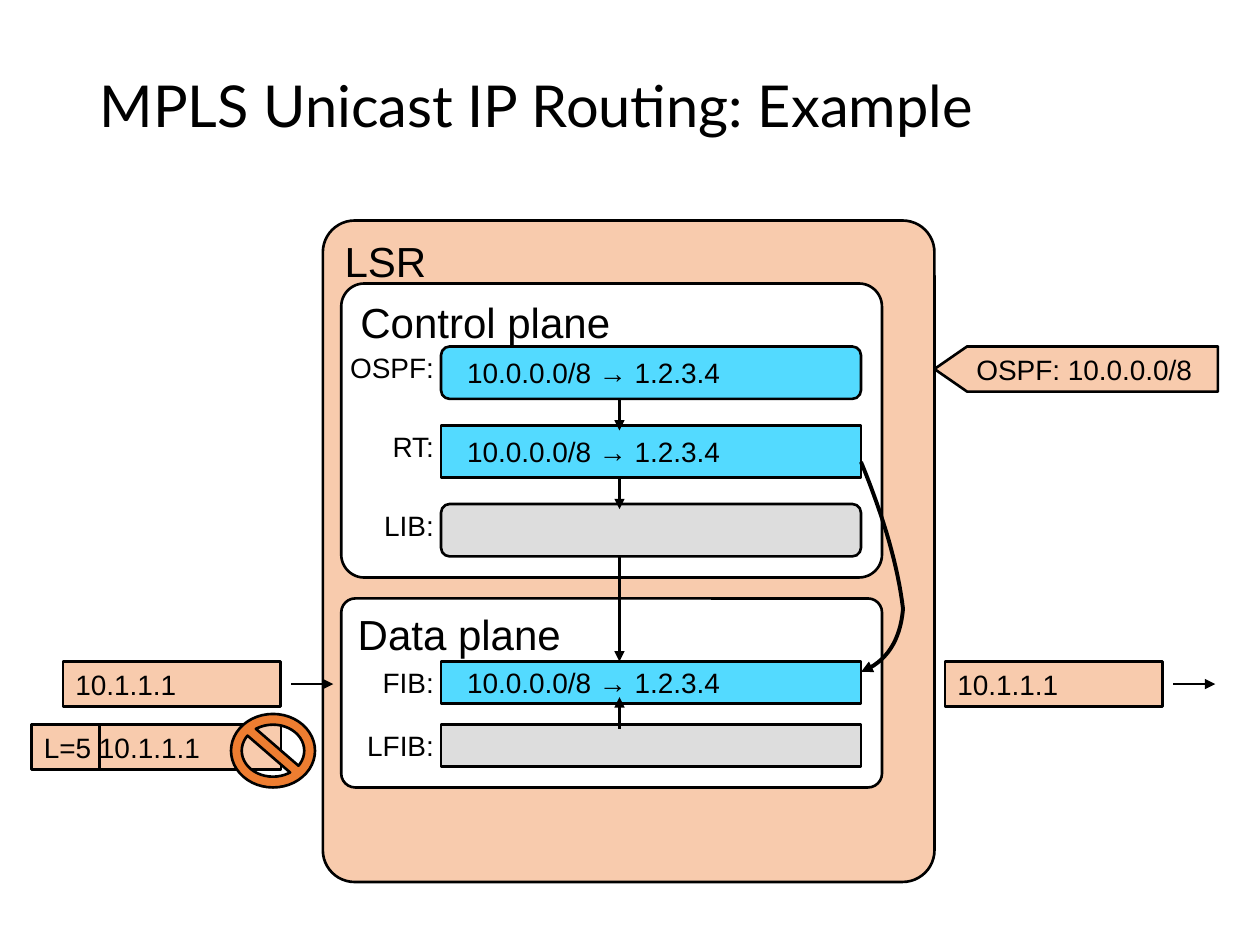
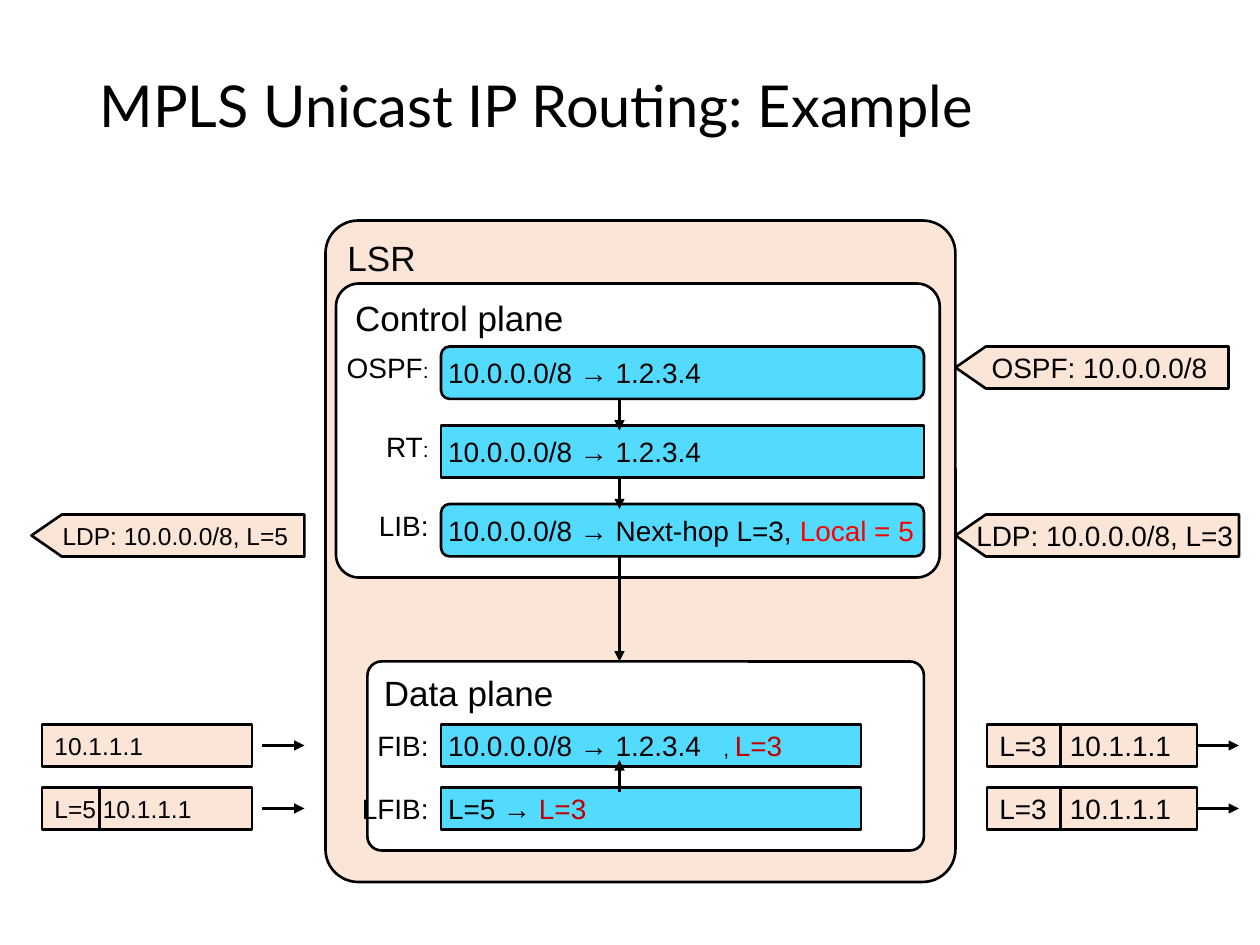
from lxml import etree
from pptx import Presentation
from pptx.dml.color import RGBColor
from pptx.enum.shapes import MSO_CONNECTOR, MSO_SHAPE as Shape
from pptx.enum.text import MSO_ANCHOR as Anchor, PP_ALIGN as Align
from pptx.oxml.ns import qn
from pptx.util import Inches, Pt

COLUMNS, ROWS = 120, 90
BLACK, WHITE, BLUE, GREY = "000000", "FFFFFF", "53DAFF", "DDDDDD"
ORANGE, DARK_RED, RED = "ED7D31", "C00000", "FF0000"
BODY_FONT, TITLE_FONT = "Arial", "Lato"
BODY, SMALL, TINY = 16, 14, 12
TITLE = "MPLS Unicast IP Routing: Example"
TITLE_BOX = (8.3, 4.8, 103.4, 11.2)
ROUTE = [("10.0.0.0/8 → 1.2.3.4", BODY)]
PANEL_NAMES = ("LSR", "Control plane", "Data plane")
PANEL_HEIGHTS = (63, 28, 18)
PANEL_CORNERS = (0.052, 0.078, 0.074)
PANEL_TOP, CONTROL_PITCH, DATA_PITCH = 21, 7.5, 6
CONTROL_HEIGHT, DATA_HEIGHT = 5, 4
BAR_LEFT, DATA_WIDTH = 42, 40
FLOW_COLUMN, FLOW_LENGTH, OVERLAP = 59, 3, 0.4
FLOW_END = 63
ARROW_LENGTH = 4

SLIDES = [
    {
        "tint": "F8CBAD",
        "panel_size": 24,
        "panels": [(30.75, 58.25), (32.5, 51.5), (32.5, 51.5)],
        "data_top": 57,
        "control_width": 40,
        "label_right": 42.5,
        "indent": 1.3,
        "tables": [
            ([("OSPF:", BODY)], BLUE, ROUTE),
            ([("RT:", BODY)], BLUE, ROUTE),
            ([("LIB:", BODY)], GREY, []),
            ([("FIB:", BODY)], BLUE, ROUTE),
            ([("LFIB:", BODY)], GREY, []),
        ],
        "box_height": 4.3,
        "updates": [("OSPF: 10.0.0.0/8", BODY, 89, 33, 27)],
        "packets": [
            ("L=5 10.1.1.1", BODY, 1, 3, 26.75, 6.5, None),
            ("10.1.1.1", BODY, 0, 6, 26.75, None, 1),
            ("10.1.1.1", BODY, 0, 90, 110.75, None, 1),
        ],
        "blocked": (22, 68, 8, 7),
        "bypass": [(82, 44), (85.3, 52), (86, 58), (85.6, 62.6), (82, 64)],
    },
    {
        "tint": "FBE5D6",
        "panel_size": 20,
        "panels": [(31, 60), (32, 57.5), (35, 53)],
        "data_top": 63,
        "control_width": 46,
        "label_right": 42,
        "indent": -0.5,
        "tables": [
            ([("OSPF", BODY), (":", TINY)], BLUE, ROUTE),
            ([("RT", BODY), (":", TINY)], BLUE, ROUTE),
            ([("LIB:", BODY)], BLUE,
             [("10.0.0.0/8 → Next-hop L=3, ", BODY), ("Local = 5", BODY, RED)]),
            ([("FIB:", BODY)], BLUE, ROUTE),
            ([("LFIB:", BODY)], BLUE, [("L=5 → ", BODY), ("L=3", BODY, DARK_RED)]),
        ],
        "next_label": ([(", ", TINY), ("L=3", BODY, DARK_RED)], 67.7),
        "box_height": 4,
        "updates": [
            ("OSPF: 10.0.0.0/8", BODY, 91, 33, 26),
            ("LDP: 10.0.0.0/8, L=3", BODY, 91, 49, 27),
            ("LDP: 10.0.0.0/8, L=5", SMALL, 3, 49, 26),
        ],
        "packets": [
            ("10.1.1.1", SMALL, 0, 4, 24, None, 1),
            ("L=5 10.1.1.1", SMALL, 1, 4, 24, 5.5, 1),
            ("L=3\t10.1.1.1", BODY, 0, 94, 114, 7, 0),
            ("L=3\t10.1.1.1", BODY, 1, 94, 114, 7, 0),
        ],
    },
]

presentation = Presentation()
presentation.slide_width, presentation.slide_height = Inches(10), Inches(7.5)
CELL_WIDTH = presentation.slide_width / COLUMNS
CELL_HEIGHT = presentation.slide_height / ROWS


def color(value):
    return RGBColor.from_string(value)


def place(column, row):
    return round(column * CELL_WIDTH), round(row * CELL_HEIGHT)


def frame(box):
    return place(*box[:2]) + place(*box[2:])


def write(shape, runs, align=Align.LEFT, anchor=Anchor.MIDDLE, font=BODY_FONT, wrap=False):
    text_frame = shape.text_frame
    text_frame.word_wrap = wrap
    text_frame.vertical_anchor = anchor
    paragraph = text_frame.paragraphs[0]
    paragraph.alignment = align
    for text, size, *tone in runs:
        run = paragraph.add_run()
        run.text = text
        run.font.size, run.font.name = Pt(size), font
        run.font.color.rgb = color(tone[0] if tone else BLACK)
    return paragraph


def outline(shape, width=1.5):
    shape.line.color.rgb = color(BLACK)
    shape.line.width = Pt(width)


def add_arrowhead(shape):
    etree.SubElement(shape.line._get_or_add_ln(), qn("a:tailEnd"), type="triangle")


def add_box(slide, kind, box, fill, adjustment=None):
    shape = slide.shapes.add_shape(kind, *frame(box))
    shape.shadow.inherit = False
    shape.fill.solid()
    shape.fill.fore_color.rgb = color(fill)
    outline(shape)
    if adjustment is not None:
        shape.adjustments[0] = adjustment
    return shape


def add_line(slide, start, end, arrow=True):
    line = slide.shapes.add_connector(MSO_CONNECTOR.STRAIGHT, *place(*start), *place(*end))
    outline(line)
    if arrow:
        add_arrowhead(line)
    etree.SubElement(line._element.spPr, qn("a:effectLst"))


def add_text(slide, runs, box, align=Align.LEFT, font=BODY_FONT):
    shape = slide.shapes.add_textbox(*frame(box))
    return write(shape, runs, align, font=font, wrap=True)


def add_panels(slide, content):
    tops = (PANEL_TOP, PANEL_TOP + DATA_PITCH, content["data_top"])
    fills = (content["tint"], WHITE, WHITE)
    rows = zip(PANEL_NAMES, content["panels"], tops, PANEL_HEIGHTS, fills, PANEL_CORNERS)
    for name, (left, width), top, height, fill, corner in rows:
        panel = add_box(slide, Shape.ROUNDED_RECTANGLE, (left, top, width, height), fill, corner)
        write(panel, [(name, content["panel_size"])], anchor=Anchor.TOP)


def table_boxes(content):
    control_top = PANEL_TOP + 2 * DATA_PITCH
    control = [(BAR_LEFT, control_top + i * CONTROL_PITCH, content["control_width"],
                CONTROL_HEIGHT) for i in range(3)]
    data = [(BAR_LEFT, content["data_top"] + i * DATA_PITCH, DATA_WIDTH, DATA_HEIGHT)
            for i in (1, 2)]
    return control + data


def add_tables(slide, content, boxes):
    for index, ((label, fill, entry), box) in enumerate(zip(content["tables"], boxes)):
        left, top, width, height = box
        kind = Shape.ROUNDED_RECTANGLE if index in (0, 2) else Shape.RECTANGLE
        add_box(slide, kind, box, fill)
        label_width = BAR_LEFT / 3
        label_box = (content["label_right"] - label_width, top, label_width, DATA_HEIGHT)
        add_text(slide, label, label_box, Align.RIGHT)
        if entry:
            add_text(slide, entry, (left + content["indent"], top, width + 4, height))
    if "next_label" in content:
        runs, left = content["next_label"]
        add_text(slide, runs, (left, boxes[3][1], 9, DATA_HEIGHT))


def add_flows(slide, boxes):
    bottoms = [top + height for _, top, _, height in boxes[:3]]
    up = boxes[-1][1] + OVERLAP
    flows = [(bottom, bottom + FLOW_LENGTH) for bottom in bottoms[:2]]
    for start, end in flows + [(bottoms[2], FLOW_END), (up, up - FLOW_LENGTH)]:
        add_line(slide, (FLOW_COLUMN, start), (FLOW_COLUMN, end))


def add_update(slide, text, size, box, tint):
    shape = add_box(slide, Shape.PENTAGON, box, tint, 0.722)
    shape._element.spPr.find(qn("a:xfrm")).set("flipH", "1")
    write(shape, [(text, size)], Align.CENTER)


def add_packet(slide, text, size, box, divider, gap, tint):
    left, top, width, height = box
    paragraph = write(add_box(slide, Shape.RECTANGLE, box, tint), [(text, size)])
    if "\t" in text:
        tabs = etree.SubElement(paragraph._p.get_or_add_pPr(), qn("a:tabLst"))
        etree.SubElement(tabs, qn("a:tab"), pos=str(Inches(0.56)), algn="l")
    if divider is not None:
        add_line(slide, (left + divider, top), (left + divider, top + height), arrow=False)
    if gap is not None:
        start, middle = left + width + gap, top + height / 2
        add_line(slide, (start, middle), (start + ARROW_LENGTH, middle))


def bend(start, control, end, t):
    return place(*((1 - t) ** 2 * a + 2 * t * (1 - t) * b + t * t * c
                   for a, b, c in zip(start, control, end)))


def add_curve(slide, points, steps=16):
    builder = slide.shapes.build_freeform(*place(*points[0]))
    curve = [bend(*points[first:first + 3], step / steps)
             for first in (0, 2) for step in range(1, steps + 1)]
    builder.add_line_segments(curve, close=False)
    shape = builder.convert_to_shape()
    shape.shadow.inherit = False
    shape.fill.background()
    outline(shape, 2.25)
    add_arrowhead(shape)


for content in SLIDES:
    slide = presentation.slides.add_slide(presentation.slide_layouts[6])
    tint, box_height = content["tint"], content["box_height"]
    add_text(slide, [(TITLE, 33)], TITLE_BOX, font=TITLE_FONT).line_spacing = 0.9
    boxes = table_boxes(content)
    add_panels(slide, content)
    add_tables(slide, content, boxes)
    add_flows(slide, boxes)
    for text, size, left, top, width in content["updates"]:
        add_update(slide, text, size, (left, top, width, box_height), tint)
    for text, size, row, left, right, divider, gap in content["packets"]:
        box = (left, boxes[3 + row][1], right - left, box_height)
        add_packet(slide, text, size, box, divider, gap, tint)
    if "blocked" in content:
        add_box(slide, Shape.NO_SYMBOL, content["blocked"], ORANGE, 0.146)
    if "bypass" in content:
        add_curve(slide, content["bypass"])

presentation.save("out.pptx")
